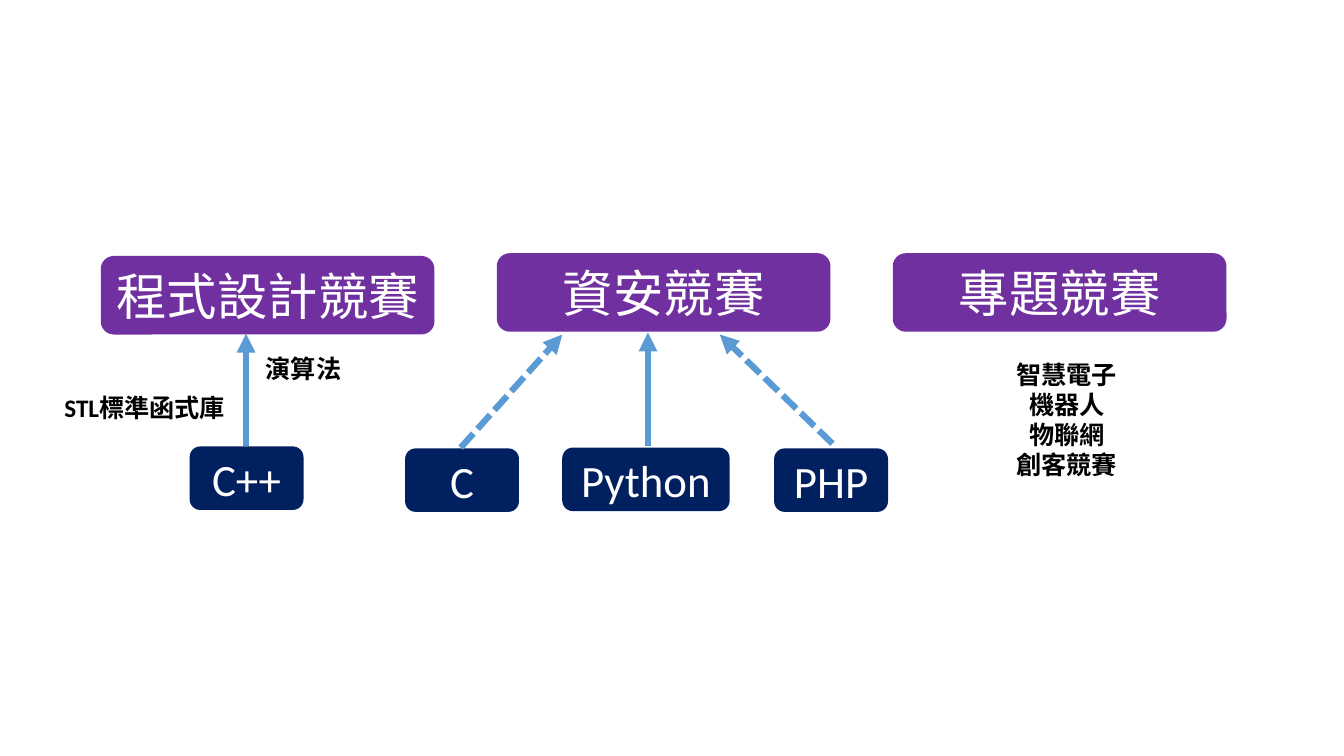
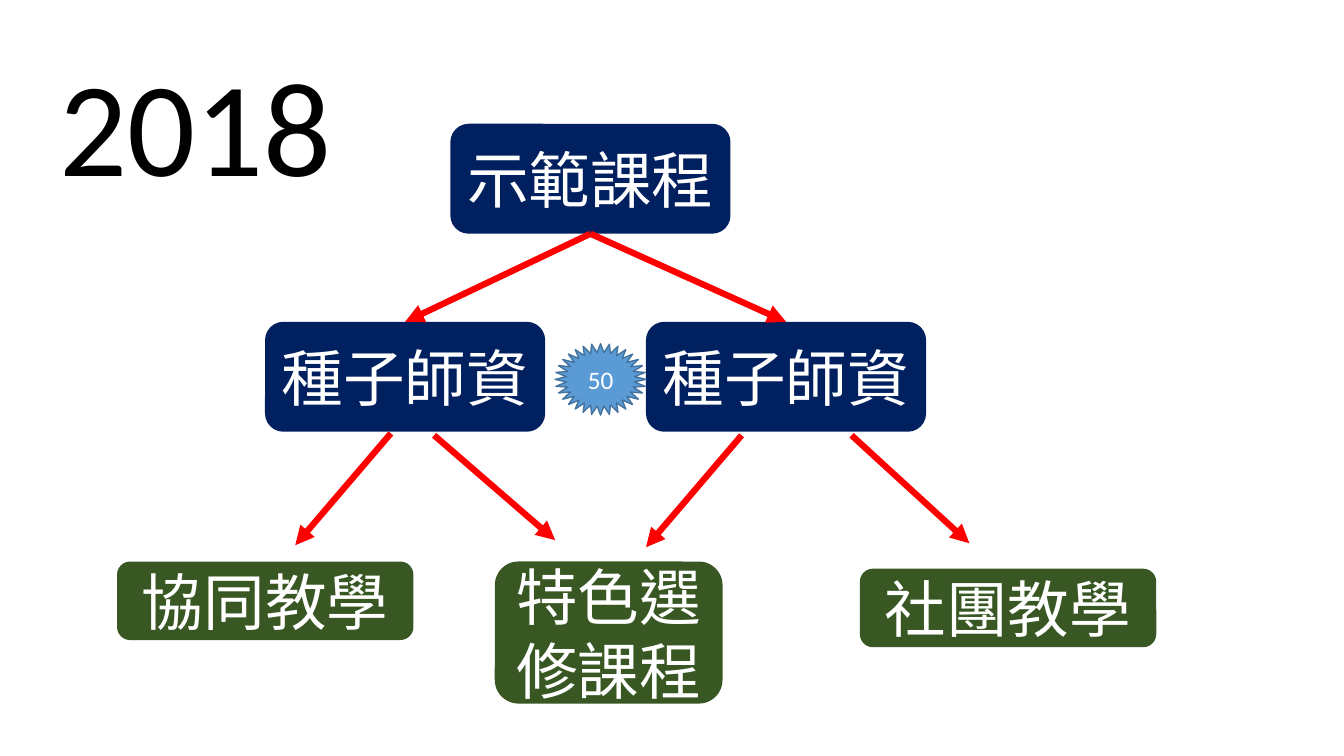
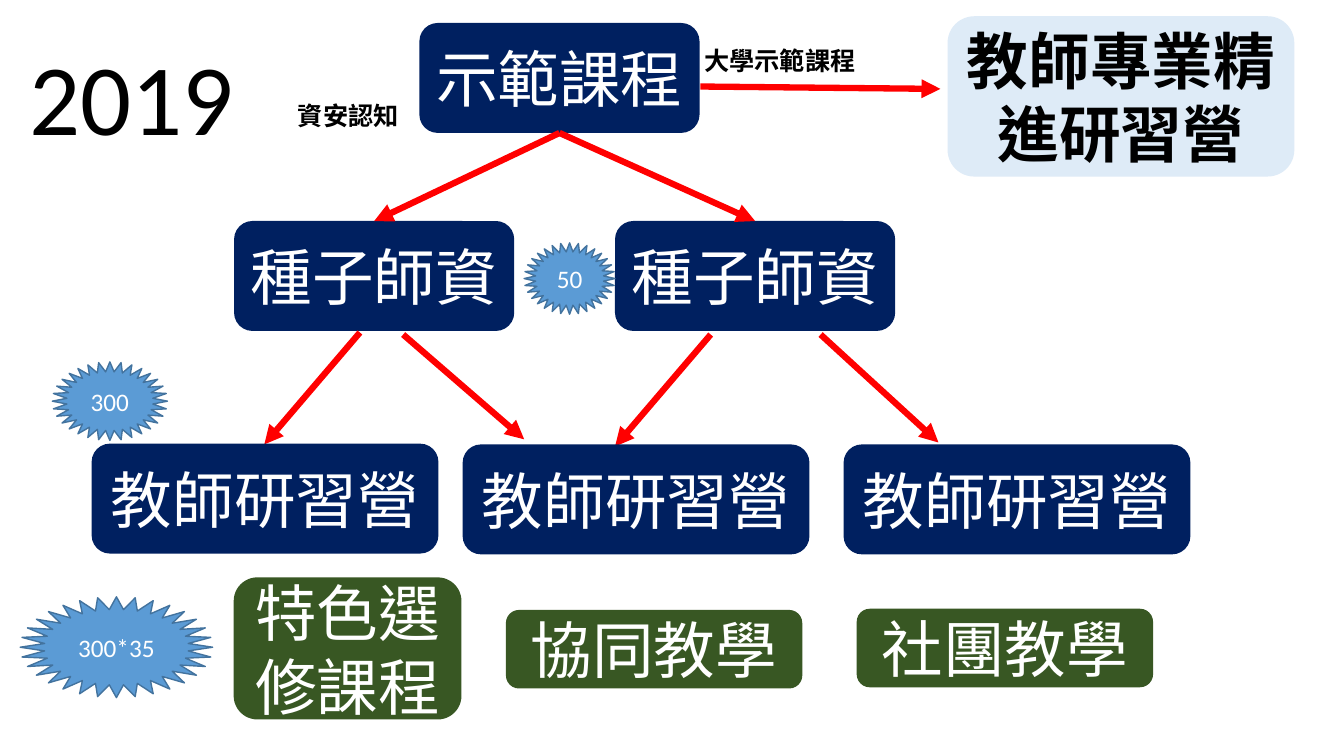
import lxml.etree
import pptx
import pptx.dml.color
import pptx.enum.dml
import pptx.enum.lang
import pptx.enum.shapes
import pptx.enum.text
import pptx.oxml.ns
import pptx.util

Cm = pptx.util.Cm
Pt = pptx.util.Pt
RGBColor = pptx.dml.color.RGBColor
SHAPE = pptx.enum.shapes.MSO_SHAPE
ALIGN = pptx.enum.text.PP_ALIGN
qn = pptx.oxml.ns.qn

# Shared look
NAVY = RGBColor(0x00, 0x20, 0x60)
PURPLE = RGBColor(0x70, 0x30, 0xA0)
GREEN = RGBColor(0x38, 0x57, 0x23)
PALE_BLUE = RGBColor(0xDE, 0xEB, 0xF7)
BLUE = RGBColor(0x5B, 0x9B, 0xD5)
BLUE_EDGE = RGBColor(0x43, 0x73, 0x9E)
RED = RGBColor(0xFF, 0x00, 0x00)
WHITE = RGBColor(0xFF, 0xFF, 0xFF)
BLACK = RGBColor(0x00, 0x00, 0x00)
FONT = "Calibri"

# Box sizes in cm: width, height
CONTEST = (8.41, 1.98)
COURSE = (7.06, 2.77)
WORKSHOP = (8.74, 2.77)
CLASS = (7.47, 1.98)
ELECTIVE = (5.74, 3.58)


def set_text(text_frame, text, size, color, bold=False, align=ALIGN.CENTER):
    text_frame.text = text
    for paragraph in text_frame.paragraphs:
        paragraph.alignment = align
        for run in paragraph.runs:
            run.font.name = FONT
            run.font.size = Pt(size)
            run.font.bold = bold
            run.font.color.rgb = color
            run.font.language_id = pptx.enum.lang.MSO_LANGUAGE_ID.TRADITIONAL_CHINESE


def add_filled(slide, kind, position, size, fill):
    shape = slide.shapes.add_shape(kind, *map(Cm, position + size))
    shape.shadow.inherit = False
    shape.fill.solid()
    shape.fill.fore_color.rgb = fill
    shape.text_frame.vertical_anchor = pptx.enum.text.MSO_ANCHOR.MIDDLE
    return shape


def add_box(slide, text, position, size, fill, font_size=44, color=WHITE, bold=False):
    shape = add_filled(slide, SHAPE.ROUNDED_RECTANGLE, position, size, fill)
    shape.line.fill.background()
    set_text(shape.text_frame, text, font_size, color, bold)


def add_burst(slide, text, position, size):
    shape = add_filled(slide, SHAPE.STAR_32_POINT, position, size, BLUE)
    shape.line.color.rgb = BLUE_EDGE
    shape.line.width = Pt(1)
    set_text(shape.text_frame, text, 18, WHITE)


def add_label(slide, text, position, size, font_size=18, bold=True,
              align=ALIGN.CENTER, wrap=False):
    text_frame = slide.shapes.add_textbox(*map(Cm, position + size)).text_frame
    text_frame.word_wrap = wrap
    text_frame.auto_size = pptx.enum.text.MSO_AUTO_SIZE.SHAPE_TO_FIT_TEXT
    set_text(text_frame, text, font_size, BLACK, bold, align)


def add_arrow(slide, start, end, color=RED, dashed=False):
    straight = pptx.enum.shapes.MSO_CONNECTOR.STRAIGHT
    connector = slide.shapes.add_connector(straight, *map(Cm, start + end))
    connector.line.color.rgb = color
    connector.line.width = Pt(4.5)
    if dashed:
        connector.line.dash_style = pptx.enum.dml.MSO_LINE.SQUARE_DOT
    properties = connector.element.spPr
    lxml.etree.SubElement(properties.find(qn("a:ln")), qn("a:tailEnd"), type="triangle")
    lxml.etree.SubElement(properties, qn("a:effectLst"))


def add_teacher_tree(slide, left, top):
    """Model course, two seed teacher boxes and the arrows below them."""
    def at(x, y):
        return (left + x, top + y)

    add_box(slide, "示範課程", at(0, 0), COURSE, NAVY)
    for x in (-4.67, 4.93):
        add_box(slide, "種子師資", at(x, 4.99), COURSE, NAVY)
    add_burst(slide, "50", at(2.64, 5.54), (2.29, 1.8))
    for start, end in (
        ((3.53, 2.77), (-1.14, 4.99)),
        ((3.53, 2.77), (8.46, 4.99)),
        ((-1.5, 7.8), (-3.91, 10.62)),
        ((-0.41, 7.85), (2.64, 10.49)),
        ((7.34, 7.85), (4.93, 10.67)),
        ((10.11, 7.85), (13.08, 10.57)),
    ):
        add_arrow(slide, at(*start), at(*end))


def add_classes(slide, elective, team, club):
    add_box(slide, "特色選修課程", elective, ELECTIVE, GREEN)
    add_box(slide, "協同教學", team, CLASS, GREEN)
    add_box(slide, "社團教學", club, CLASS, GREEN)


def build_contests(slide):
    # Contests
    for text, position in (
        ("程式設計競賽", (2.54, 6.45)),
        ("資安競賽", (12.52, 6.38)),
        ("專題競賽", (22.5, 6.38)),
    ):
        add_box(slide, text, position, CONTEST, PURPLE, 36)

    # Languages
    for text, position, width in (
        ("C++", (4.78, 11.25), 2.87),
        ("C", (10.21, 11.3), 2.87),
        ("Python", (14.17, 11.28), 4.22),
        ("PHP", (19.51, 11.3), 2.87),
    ):
        add_box(slide, text, position, (width, 1.6), NAVY, 32)

    # Language to contest arrows
    for start, end, dashed in (
        ((6.2, 11.25), (6.2, 8.41), False),
        ((16.33, 11.23), (16.33, 8.38), False),
        ((11.61, 11.28), (14.17, 8.43), True),
        ((20.98, 11.18), (18.14, 8.43), True),
    ):
        add_arrow(slide, start, end, BLUE, dashed)

    # Topics
    add_label(slide, "STL標準函式庫", (1.35, 9.75), (4.6, 1.02), wrap=True)
    add_label(slide, "演算法", (6.43, 8.79), (2.44, 1.02))
    add_label(slide, "智慧電子\n機器人\n物聯網\n創客競賽", (25.35, 8.92), (3.07, 3.33))


def build_2018(slide):
    add_teacher_tree(slide, 11.35, 3.12)
    add_classes(slide, (12.47, 14.15), (2.95, 14.15), (21.67, 14.33))
    add_label(slide, "2018", (1.22, 0.94), (7.44, 4.37), 96, bold=False)


def build_2019(slide):
    add_teacher_tree(slide, 10.57, 0.58)

    # Workshops and classes
    for position in ((2.31, 11.18), (11.66, 11.2), (21.26, 11.2)):
        add_box(slide, "教師研習營", position, WORKSHOP, NAVY)
    add_classes(slide, (5.89, 14.55), (12.75, 15.37), (21.59, 15.34))
    add_burst(slide, "300", (1.32, 9.12), (2.9, 1.98))
    add_burst(slide, "300*35", (0.51, 15.04), (4.85, 2.54))

    # Advanced workshop
    add_box(slide, "教師專業精進研習營", (23.88, 0.41), (8.74, 4.04),
            PALE_BLUE, color=BLACK, bold=True)
    add_arrow(slide, (17.65, 2.18), (23.7, 2.24))

    # Year and labels
    add_label(slide, "2019", (0.46, 0.76), (5.72, 3.33), 72, bold=False)
    add_label(slide, "資安認知", (7.26, 2.41), (3.07, 1.02), align=ALIGN.LEFT)
    add_label(slide, "大學示範課程", (17.5, 1.02), (4.37, 1.02), align=ALIGN.LEFT)


def main():
    presentation = pptx.Presentation()
    presentation.slide_width = Cm(33.87)
    presentation.slide_height = Cm(19.05)
    blank = presentation.slide_layouts[6]
    for build in (build_contests, build_2018, build_2019):
        build(presentation.slides.add_slide(blank))
    presentation.save("out.pptx")


if __name__ == "__main__":
    main()
